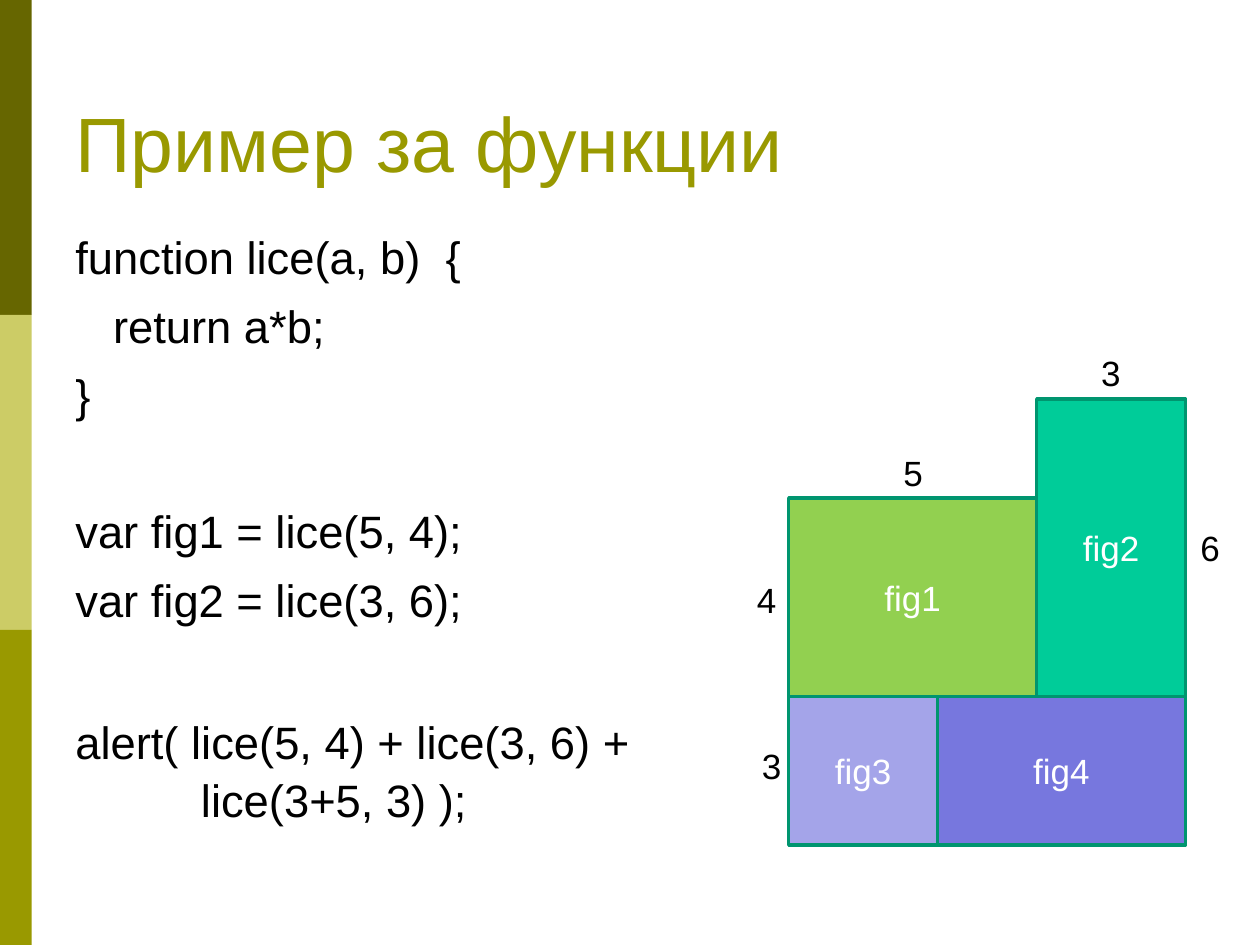
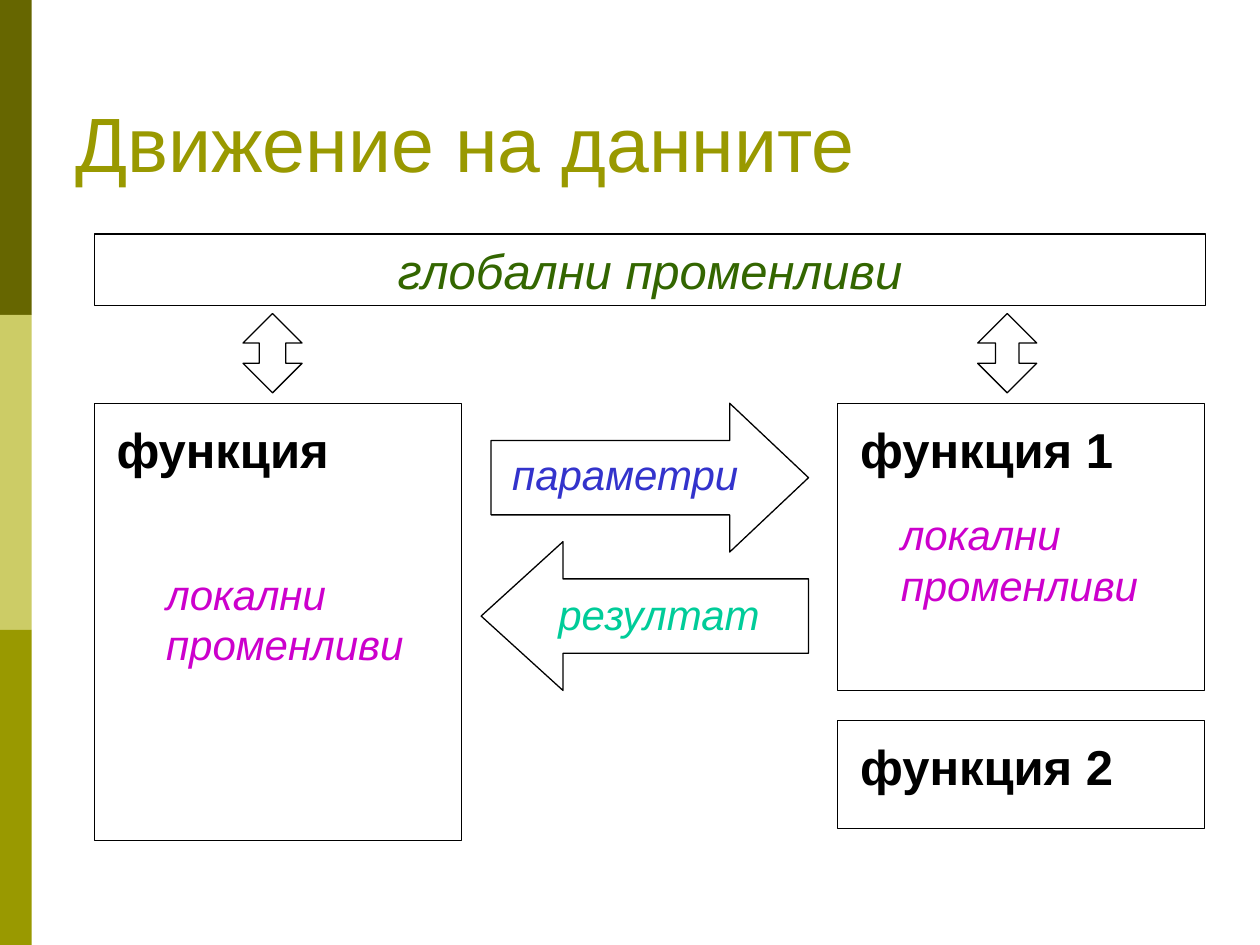
from dataclasses import dataclass

from pptx import Presentation
from pptx.dml.color import RGBColor
from pptx.enum.shapes import MSO_SHAPE
from pptx.enum.text import MSO_ANCHOR, PP_ALIGN
from pptx.util import Cm, Pt

RECT = MSO_SHAPE.RECTANGLE
RIGHT = MSO_SHAPE.RIGHT_ARROW
BACK = MSO_SHAPE.LEFT_ARROW
UPDOWN = MSO_SHAPE.UP_DOWN_ARROW
TOP, MIDDLE, BOTTOM = MSO_ANCHOR.TOP, MSO_ANCHOR.MIDDLE, MSO_ANCHOR.BOTTOM
LEFT, CENTER = PP_ALIGN.LEFT, PP_ALIGN.CENTER

FONT = "Arial"
BLACK = RGBColor(0x00, 0x00, 0x00)
WHITE = RGBColor(0xFF, 0xFF, 0xFF)
DARK = RGBColor(0x66, 0x66, 0x00)
PALE = RGBColor(0xCC, 0xCC, 0x66)
OLIVE = RGBColor(0x99, 0x99, 0x00)
JADE = RGBColor(0x00, 0xCC, 0x99)
EDGE = RGBColor(0x00, 0x95, 0x6F)
LIME = RGBColor(0x92, 0xD0, 0x50)
VIOLET = RGBColor(0x77, 0x77, 0xDE)
LILAC = RGBColor(0xA4, 0xA4, 0xE9)
PURPLE = RGBColor(0xCC, 0x00, 0xCC)
BLUE = RGBColor(0x33, 0x33, 0xCC)
GREEN = RGBColor(0x33, 0x66, 0x00)

WIDTH, HEIGHT = 25.4, 19.05
BAND = 0.64
CORNER = (15.9, 14.04)
PANEL = 7.4
COL_A, COL_B = 1.9, 16.89
ROW = 8.13


@dataclass(frozen=True)
class Area:
    """A box on the slide, in centimetres."""
    left: float
    top: float
    width: float
    height: float

    def place(self) -> tuple[Cm, Cm, Cm, Cm]:
        """Give the box as lengths."""
        return Cm(self.left), Cm(self.top), Cm(self.width), Cm(self.height)


@dataclass(frozen=True)
class Style:
    """The look of a piece of text."""
    size: float
    color: RGBColor
    bold: bool = False
    slant: bool = False
    align: PP_ALIGN = LEFT
    anchor: MSO_ANCHOR = TOP
    wrap: bool = True


@dataclass(frozen=True)
class Figure:
    """A part of the plan, in units of one centimetre from the corner."""
    name: str
    left: int
    top: int
    width: int
    height: int
    fill: RGBColor


@dataclass(frozen=True)
class Label:
    """A piece of text with its place and look."""
    text: str
    area: Area
    style: Style


@dataclass(frozen=True)
class Arrow:
    """A block arrow with its two handles."""
    kind: MSO_SHAPE
    area: Area
    shaft: float
    head: float


@dataclass(frozen=True)
class Panel:
    """A framed function with a heading."""
    name: str
    left: float
    top: float
    height: float


@dataclass(frozen=True)
class Code:
    """A statement with the space above it, in points."""
    lines: tuple[str, ...]
    space: float = 6.8


TITLE = Style(44, OLIVE, anchor=BOTTOM)
CODE = Style(25.9, BLACK)
NAME = Style(20, WHITE, align=CENTER, anchor=MIDDLE)
SIDE = Style(20, BLACK, wrap=False)
HEAD = Style(28, BLACK, bold=True)
LOCAL = Style(24, PURPLE, slant=True)
PARAM = Style(24, BLUE, slant=True, align=CENTER)
RESULT = Style(24, JADE, slant=True, align=CENTER)
GLOBAL = Style(28, GREEN, slant=True, align=CENTER)

LISTING = (
    Code(("function lice(a, b)  {",), 0),
    Code(("   return a*b;",)),
    Code(("}",)),
    Code(("var fig1 = lice(5, 4);",), 44.9),
    Code(("var fig2 = lice(3, 6);",)),
    Code(("alert( lice(5, 4) + lice(3, 6) +", "          lice(3+5, 3) );"), 48.7),
)
FIGURES = (
    Figure("fig2", 5, -6, 3, 6, JADE),
    Figure("fig1", 0, -4, 5, 4, LIME),
    Figure("fig4", 3, 0, 5, 3, VIOLET),
    Figure("fig3", 0, 0, 3, 3, LILAC),
)
SIDES = (
    ("4", 15.01, 11.53),
    ("5", 17.96, 8.97),
    ("3", 21.95, 6.96),
    ("6", 23.95, 10.49),
    ("3", 15.11, 14.88),
)
ARROWS = (
    Arrow(RIGHT, Area(9.9, ROW, 6.4, 3), 0.5, 0.53),
    Arrow(BACK, Area(9.7, 10.92, 6.6, 3), 0.5, 0.55),
    Arrow(UPDOWN, Area(19.71, 6.32, 1.19, 1.6), 0.5, 0.4),
    Arrow(UPDOWN, Area(4.9, 6.32, 1.19, 1.6), 0.5, 0.45),
)
PANELS = (
    Panel("функция", COL_A, ROW, 8.81),
    Panel("функция 1", COL_B, ROW, 5.79),
    Panel("функция 2", COL_B, 14.53, 2.18),
)
LABELS = (
    Label("локални променливи", Area(3.1, 11.33, 6, 2.29), LOCAL),
    Label("локални променливи", Area(17.91, 10.13, 6.2, 2.29), LOCAL),
    Label("параметри", Area(9.9, 8.92, 5.41, 1.27), PARAM),
    Label("резултат", Area(10.49, 11.73, 5.59, 1.27), RESULT),
)


def add_run(para, text: str, style: Style) -> None:
    """Add one styled run to a paragraph."""
    run = para.add_run()
    run.text = text
    font = run.font
    font.name, font.size = FONT, Pt(style.size)
    font.bold, font.italic = style.bold, style.slant
    font.color.rgb = style.color


def set_text(shape, text: str, style: Style) -> None:
    """Write one paragraph in a shape."""
    frame = shape.text_frame
    frame.word_wrap = style.wrap
    frame.vertical_anchor = style.anchor
    para = frame.paragraphs[0]
    para.alignment = style.align
    add_run(para, text, style)


def add_label(slide, label: Label) -> None:
    """Draw a text box."""
    box = slide.shapes.add_textbox(*label.area.place())
    set_text(box, label.text, label.style)


def add_block(slide, kind: MSO_SHAPE, area: Area, fill: RGBColor | None = None,
              line: RGBColor | None = BLACK, weight: float = 0.75):
    """Draw a preset shape with a plain fill and line."""
    shape = slide.shapes.add_shape(kind, *area.place())
    shape.shadow.inherit = False
    if fill is None:
        shape.fill.background()
    else:
        shape.fill.solid()
        shape.fill.fore_color.rgb = fill
    if line is None:
        shape.line.fill.background()
    else:
        shape.line.color.rgb = line
        shape.line.width = Pt(weight)
    return shape


def add_slide(deck, title: str):
    """Add a slide with the side bands and a title."""
    slide = deck.slides.add_slide(deck.slide_layouts[6])
    step = HEIGHT / 3
    for row, color in enumerate((DARK, PALE, OLIVE)):
        add_block(slide, RECT, Area(0, row * step, BAND, step), color, None)
    add_label(slide, Label(title, Area(1.27, 0.99, 22.83, 2.92), TITLE))
    return slide


def add_code(slide, area: Area) -> None:
    """Write the listing."""
    frame = slide.shapes.add_textbox(*area.place()).text_frame
    frame.word_wrap = True
    for row, code in enumerate(LISTING):
        para = frame.add_paragraph() if row else frame.paragraphs[0]
        para.line_spacing = 1.05
        para.space_before = Pt(code.space)
        for part, line in enumerate(code.lines):
            if part:
                para.add_line_break()
            add_run(para, line, CODE)


def add_figure(slide, part: Figure) -> None:
    """Draw one part of the plan."""
    area = Area(CORNER[0] + part.left, CORNER[1] + part.top, part.width, part.height)
    set_text(add_block(slide, RECT, area, part.fill, EDGE, 2), part.name, NAME)


def add_arrow(slide, arrow: Arrow) -> None:
    """Draw a block arrow."""
    shape = add_block(slide, arrow.kind, arrow.area)
    shape.adjustments[0] = arrow.shaft
    shape.adjustments[1] = arrow.head


def add_panel(slide, panel: Panel) -> None:
    """Draw a framed function."""
    add_block(slide, RECT, Area(panel.left, panel.top, PANEL, panel.height))
    area = Area(panel.left + 0.2, panel.top + 0.2, PANEL - 0.4, 1.44)
    add_label(slide, Label(panel.name, area, HEAD))


def draw_plan(deck) -> None:
    """Build the slide with code and areas."""
    slide = add_slide(deck, "Пример за функции")
    add_code(slide, Area(1.27, 4.45, 22.83, 12.57))
    for part in FIGURES:
        add_figure(slide, part)
    for text, left, top in SIDES:
        add_label(slide, Label(text, Area(left, top, 0.89, 1.12), SIDE))


def draw_flow(deck) -> None:
    """Build the slide with the flow of data."""
    slide = add_slide(deck, "Движение на данните")
    for arrow in ARROWS:
        add_arrow(slide, arrow)
    for panel in PANELS:
        add_panel(slide, panel)
    bar = add_block(slide, RECT, Area(COL_A, 4.72, 22.4, 1.44))
    set_text(bar, "глобални променливи", GLOBAL)
    for label in LABELS:
        add_label(slide, label)


def main() -> None:
    """Build and save the slides."""
    deck = Presentation()
    deck.slide_width, deck.slide_height = Cm(WIDTH), Cm(HEIGHT)
    draw_plan(deck)
    draw_flow(deck)
    deck.save("out.pptx")


if __name__ == "__main__":
    main()
